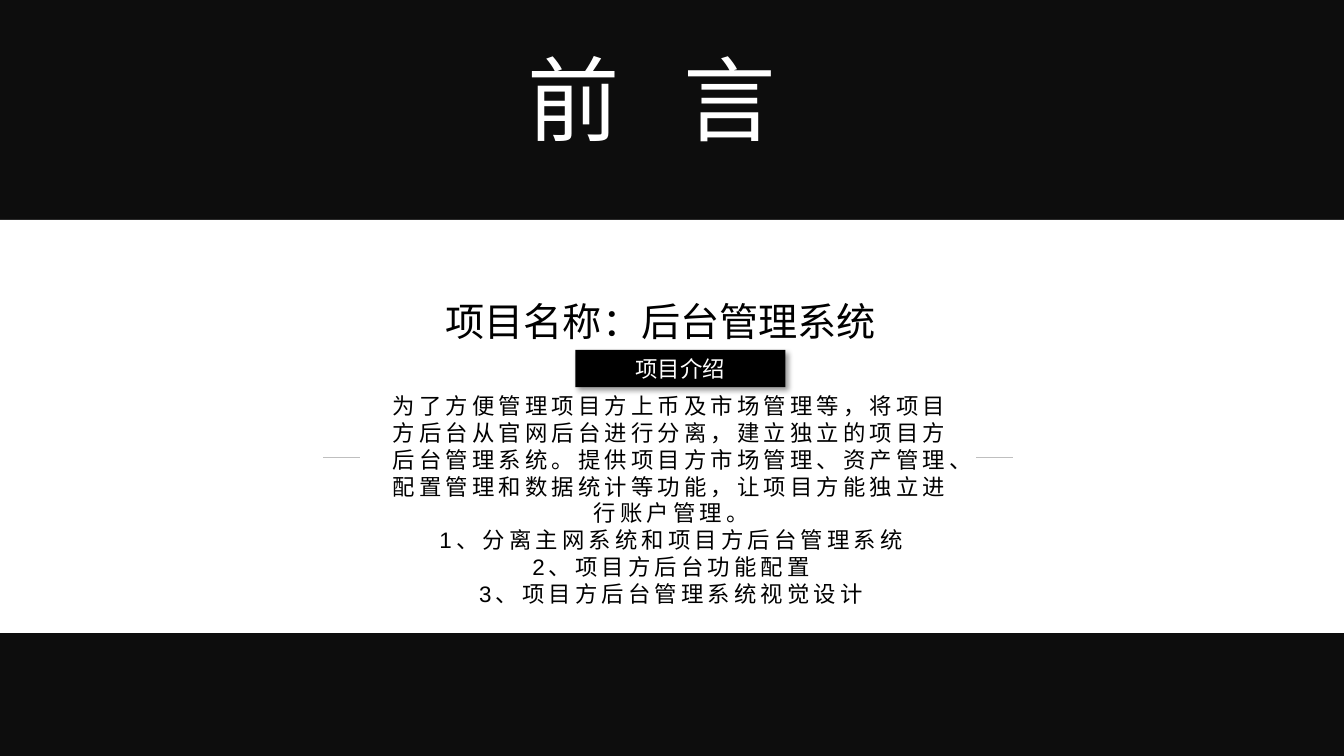
"""Build the foreword slide of the back-office management system deck."""
from lxml.etree import SubElement
from pptx import Presentation
from pptx.dml.color import RGBColor as RGB
from pptx.enum.shapes import MSO_CONNECTOR as LINE, MSO_SHAPE as SHAPE
from pptx.enum.text import MSO_ANCHOR as ANCHOR, MSO_AUTO_SIZE as FIT, PP_ALIGN as ALIGN
from pptx.oxml import parse_xml
from pptx.oxml.ns import qn
from pptx.util import Pt

TITLE = "前 言"
PROJECT = "项目名称：后台管理系统"
LABEL = "项目介绍"
INTRO = [
    "为了方便管理项目方上币及市场管理等，将项目方后台从官网后台进行分离，建立独立的项目方后台管理系统。"
    "提供项目方市场管理、资产管理、配置管理和数据统计等功能，让项目方能独立进行账户管理。",
    "1、分离主网系统和项目方后台管理系统",
    "2、项目方后台功能配置",
    "3、项目方后台管理系统视觉设计",
]


class Theme:
    """Colours, fonts and type sizes of the slide."""
    dark, black, white, rule = (RGB.from_string(c) for c in ("0D0D0D", "000000", "FFFFFF", "BFBFBF"))
    head_font, body_font = "Roboto Condensed", "Arial"
    title, project, body = 66, 28, 16


WIDTH, HEIGHT = 960, 540
BAND = (0, 157, WIDTH, 295)
BOXES = {
    "title": (369.5, 26.6, 300, 87),
    "project": (308, 209, 328, 41),
    "intro": (267.8, 276.5, 423.4, 186.5),
    "label": (411, 250, 150, 26.6),
}
RULE_Y, RULE_LENGTH, RULE_STARTS = 326.8, 26, (231, 697.5)
SHADOW = (
    '<a:effectLst xmlns:a="http://schemas.openxmlformats.org/drawingml/2006/main">'
    '<a:outerShdw blurRad="50800" dist="38100" dir="2700000" algn="tl" rotWithShape="0">'
    '<a:srgbClr val="000000"><a:alpha val="40000"/></a:srgbClr></a:outerShdw></a:effectLst>'
)


def place(sp, box):
    """Move and size a shape, in points."""
    sp.left, sp.top, sp.width, sp.height = map(Pt, box)


def write(sp, text, size=Theme.body, font=Theme.body_font, color=Theme.black,
          align=ALIGN.CENTER, anchor=ANCHOR.TOP, spacing=0):
    """Fill a shape with one paragraph per line of text."""
    tf = sp.text_frame
    tf.word_wrap, tf.auto_size, tf.vertical_anchor = True, FIT.NONE, anchor
    tf.text = text
    for p in tf.paragraphs:
        p.alignment, p.space_before = align, Pt(0)
        pPr = p._p.get_or_add_pPr()
        pPr.set("marL", "0")
        pPr.set("indent", "0")
        SubElement(pPr, qn("a:buNone"))
        for r in p.runs:
            r.font.size, r.font.name = Pt(size), font
            r.font.color.rgb = color
            r.font._element.set("spc", str(round(spacing * 100)))


def add_rect(s, box, color):
    """Add a plain filled rectangle."""
    sp = s.shapes.add_shape(SHAPE.RECTANGLE, *map(Pt, box))
    sp.shadow.inherit = False
    sp.fill.solid()
    sp.fill.fore_color.rgb = color
    sp.line.fill.background()
    return sp


def add_rule(s, x):
    """Add one short horizontal rule beside the introduction."""
    sp = s.shapes.add_connector(LINE.STRAIGHT, Pt(x), Pt(RULE_Y), Pt(x + RULE_LENGTH), Pt(RULE_Y))
    sp.line.color.rgb, sp.line.width = Theme.rule, Pt(0.5)
    SubElement(sp._element.spPr, qn("a:effectLst"))


def main():
    """Assemble and save the slide."""
    prs = Presentation()
    prs.slide_width, prs.slide_height = Pt(WIDTH), Pt(HEIGHT)
    s = prs.slides.add_slide(prs.slide_layouts[1])
    s.background.fill.solid()
    s.background.fill.fore_color.rgb = Theme.dark

    band = add_rect(s, BAND, Theme.white)
    s.shapes._spTree.insert(2, band._element)

    title, intro = s.shapes.title, s.placeholders[1]
    place(title, BOXES["title"])
    write(title, TITLE, size=Theme.title, font=Theme.head_font, color=Theme.white,
          align=ALIGN.LEFT, spacing=15.5)
    place(intro, BOXES["intro"])
    write(intro, "\n".join(INTRO), spacing=3)

    project = s.shapes.add_textbox(*map(Pt, BOXES["project"]))
    write(project, PROJECT, size=Theme.project)
    for x in RULE_STARTS:
        add_rule(s, x)

    label = add_rect(s, BOXES["label"], Theme.black)
    spPr = label._element.spPr
    spPr.replace(spPr.find(qn("a:effectLst")), parse_xml(SHADOW))
    write(label, LABEL, color=Theme.white, anchor=ANCHOR.MIDDLE)
    prs.save("out.pptx")


if __name__ == "__main__":
    main()
